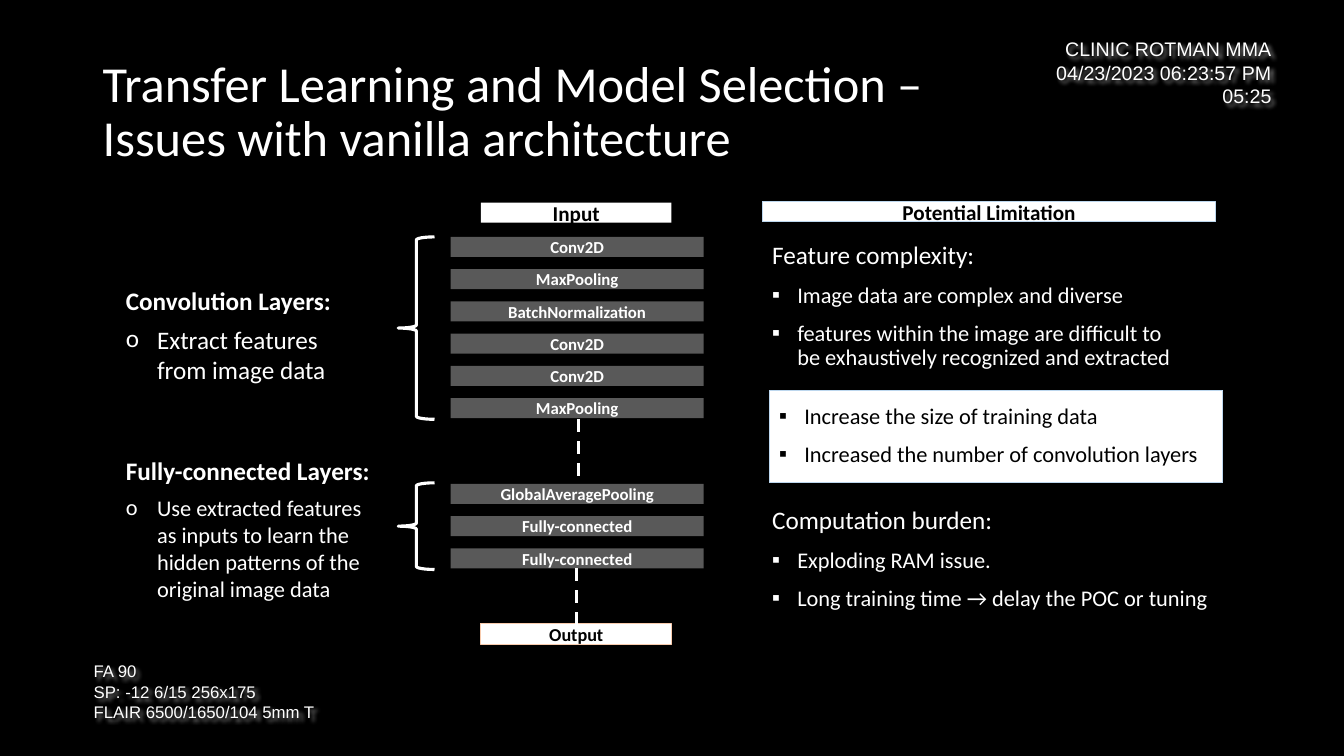
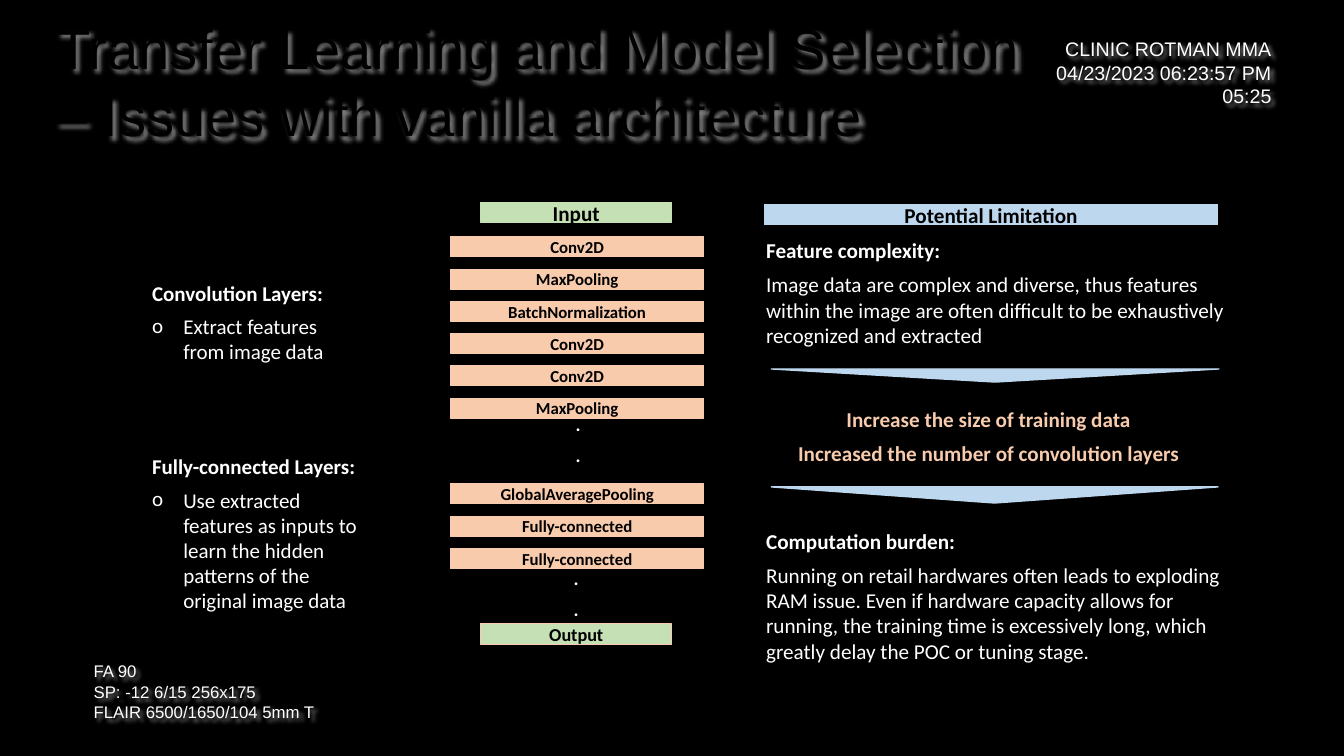
from lxml import etree
from pptx import Presentation
from pptx.dml.color import RGBColor
from pptx.enum.dml import MSO_LINE
from pptx.enum.shapes import MSO_CONNECTOR, MSO_SHAPE
from pptx.enum.text import MSO_ANCHOR, PP_ALIGN
from pptx.oxml.ns import qn
from pptx.util import Inches, Pt

LEFT, MID, RIGHT = PP_ALIGN.LEFT, PP_ALIGN.CENTER, PP_ALIGN.RIGHT
TOP, CENTRE = MSO_ANCHOR.TOP, MSO_ANCHOR.MIDDLE
RECT, BRACE = MSO_SHAPE.RECTANGLE, MSO_SHAPE.LEFT_BRACE
WEDGE = MSO_SHAPE.ISOSCELES_TRIANGLE
STRAIGHT, DASH = MSO_CONNECTOR.STRAIGHT, MSO_LINE.DASH

HUES = {
    "black": "000000",
    "white": "FFFFFF",
    "grey": "595959",
    "shade": "808080",
    "peach": "F8CBAD",
    "green": "C5E0B4",
    "blue": "BDD7EE",
    "sand": "F7CBAC",
}
HARD = chr(160)  # no-break space
TITLE = ("Transfer Learning and Model Selection – "
         f"Issues with vanilla{HARD}architecture")
CLINIC = ["CLINIC ROTMAN MMA", "04/23/2023 06:23:57 PM", "05:25"]
SCAN = ["FA 90", "SP: -12 6/15 256x175", "FLAIR 6500/1650/104 5mm T"]
CONV = ["Conv2D", "MaxPooling", "BatchNormalization",
        "Conv2D", "Conv2D", "MaxPooling"]
DENSE = ["GlobalAveragePooling", "Fully-connected", "Fully-connected"]
CONV_TOP, DENSE_TOP, STEP = 2.35, 4.8, 0.32
ROLES = [
    ("Convolution Layers:", "Extract features from image data"),
    ("Fully-connected Layers:",
     "Use extracted features as inputs to learn the hidden patterns "
     "of the original image data"),
]
FIXES = ["Increase the size of training data",
         "Increased the number of convolution layers"]


def hue(name):
    return RGBColor.from_string(HUES[name])


def place(box):
    return [Inches(n) for n in box]


def cast(shape):
    """Give the text of an unfilled box a soft shadow."""
    effects = etree.SubElement(shape._element.spPr, qn("a:effectLst"))
    drop = etree.SubElement(effects, qn("a:outerShdw"), blurRad="38100",
                            dist="38100", dir="2700000", algn="tl")
    etree.SubElement(drop, qn("a:srgbClr"), val=HUES["shade"])


def mark(para, sign, indent):
    """Set a bullet with a hanging indent."""
    props = para._p.get_or_add_pPr()
    props.set("marL", str(Inches(indent)))
    props.set("indent", str(-Inches(indent)))
    etree.SubElement(props, qn("a:buFont"), typeface="Calibri")
    etree.SubElement(props, qn("a:buChar"), char=sign)


def add_para(para, words, size=16, color="white", bold=False, font="Calibri",
             align=LEFT, after=0, before=0, line=None, sign=None, indent=0.25):
    if sign:
        mark(para, sign, indent)
    para.alignment = align
    para.space_after = Pt(after)
    para.space_before = Pt(before)
    if line:
        para.line_spacing = line
    run = para.add_run()
    run.text = words
    run.font.size = Pt(size)
    run.font.bold = bold
    run.font.color.rgb = hue(color)
    run.font.name = font


def fill_text(frame, items, anchor=TOP, **style):
    """Write items, each a string or a (string, own style) pair."""
    frame.word_wrap = True
    frame.vertical_anchor = anchor
    for i, item in enumerate(items):
        words, own = (item, {}) if isinstance(item, str) else item
        look = {**style, **own}
        if i == 0:
            look["before"] = 0
        para = frame.add_paragraph() if i else frame.paragraphs[0]
        add_para(para, words, **look)


def add_text(slide, box, items, glow=False, **style):
    label = slide.shapes.add_textbox(*place(box))
    if glow:
        cast(label)
    fill_text(label.text_frame, items, **style)


def add_form(slide, kind, box, fill=None, edge=None, width=0.75):
    form = slide.shapes.add_shape(kind, *place(box))
    form.shadow.inherit = False
    if fill:
        form.fill.solid()
        form.fill.fore_color.rgb = hue(fill)
    else:
        form.fill.background()
    if edge:
        form.line.color.rgb = hue(edge)
        form.line.width = Pt(width)
    else:
        form.line.fill.background()
    return form


def add_bar(slide, box, words, size, fill, edge=None, color="black"):
    bar = add_form(slide, RECT, box, fill, edge)
    fill_text(bar.text_frame, [words], CENTRE, size=size, color=color,
              bold=True, align=MID, after=6)


def add_dash(slide, x, top, end):
    line = slide.shapes.add_connector(STRAIGHT, *place((x, top, x, end)))
    line.line.color.rgb = hue("white")
    line.line.width = Pt(2.25)
    line.line.dash_style = DASH
    etree.SubElement(line._element.spPr, qn("a:effectLst"))


def add_wedge(slide, box):
    wedge = add_form(slide, WEDGE, box, "blue", "blue", 1)
    wedge.rotation = 180


def add_stack(slide, fill, edge, color, end, rim):
    """Draw the network from input to output."""
    for names, top in ((CONV, CONV_TOP), (DENSE, DENSE_TOP)):
        for i, name in enumerate(names):
            add_bar(slide, (4.47, top + i * STEP, 2.51, 0.2), name, 12,
                    fill, edge, color)
    add_bar(slide, (4.77, 2.01, 1.89, 0.2), "Input", 15.1, end, rim)
    add_bar(slide, (4.77, 6.19, 1.89, 0.2), "Output", 13, end, "peach")


def add_roles(slide, boxes, head, sizes):
    """Explain the two groups of layers."""
    for box, (name, use), size in zip(boxes, ROLES, sizes):
        add_text(slide, box, [
            (name, {"bold": True, "size": head}),
            (use, {"sign": "o", "indent": 0.31, "size": size}),
        ], after=6)


def start(deck):
    """Add a slide with the scan marks in its corners."""
    slide = deck.slides.add_slide(deck.slide_layouts[6])
    add_text(slide, (9.6, 0.32, 3.11, 0.81), CLINIC, size=14, font="Arial",
             align=RIGHT, glow=True)
    add_text(slide, (0.83, 6.51, 4.21, 0.71), SCAN, size=12, font="Arial",
             glow=True)
    return slide


def add_issues(deck):
    slide = start(deck)
    add_text(slide, (0.92, 0.4, 9.33, 1.45), [TITLE], anchor=CENTRE,
             size=36, line=0.9)
    add_stack(slide, "grey", None, "white", "white", None)
    add_dash(slide, 5.74, 4.16, 4.79)
    add_dash(slide, 5.72, 5.64, 6.19)
    for top, tall in ((2.35, 1.81), (4.79, 0.86)):
        add_form(slide, BRACE, (3.95, top, 0.36, tall), edge="white",
                 width=2.25)
    add_roles(slide, [(1.15, 2.78, 2.33, 1.09), (1.15, 4.47, 2.69, 1.57)],
              18, (18, 16))

    add_bar(slide, (7.56, 2, 4.5, 0.2), "Potential Limitation", 15.1,
            "white", "blue")
    points = {"before": 10, "line": 0.9, "sign": "▪"}
    head = {"size": 18, "sign": None}
    add_text(slide, (7.56, 2.36, 4.5, 1.49), [
        ("Feature complexity:", head),
        "Image data are complex and diverse",
        "features within the image are difficult to "
        f"be{HARD}exhaustively recognized and extracted",
    ], **points)
    add_text(slide, (7.56, 4.99, 4.94, 1.49), [
        ("Computation burden:", head),
        "Exploding RAM issue.",
        "Long training time → delay the POC or tuning",
    ], **points)
    panel = add_form(slide, RECT, (7.63, 3.87, 4.5, 0.92), "white", "blue")
    fill_text(panel.text_frame, FIXES, CENTRE, color="black", **points)


def add_detail(deck):
    slide = start(deck)
    add_text(slide, (0.46, 0.1, 9.98, 1.4), [TITLE], anchor=CENTRE,
             size=40, color="black", font="Arial", glow=True)
    add_stack(slide, "peach", "peach", "black", "green", "green")
    for x, top in ((5.09, 4.05), (5.07, 5.57)):
        add_text(slide, (x, top, 1.29, 0.64), [".", "."], size=13.4,
                 bold=True, align=MID, after=6)
    add_roles(slide, [(1.41, 2.73, 2.26, 0.94), (1.41, 4.45, 2.26, 1.7)],
              15, (15, 15))

    add_bar(slide, (7.58, 2.03, 4.5, 0.2), "Potential Limitation", 15.1,
            "blue", "blue")
    prose = {"size": 15.1, "after": 6}
    head = {"bold": True}
    add_text(slide, (7.5, 2.31, 4.79, 1.2), [
        ("Feature complexity:", head),
        "Image data are complex and diverse, thus features within the image "
        f"are often difficult to be{HARD}exhaustively recognized and "
        "extracted",
    ], **prose)
    add_wedge(slide, (7.65, 3.66, 4.44, 0.13))
    add_text(slide, (7.41, 3.98, 4.79, 0.69), FIXES, color="sand", bold=True,
             align=MID, **prose)
    add_wedge(slide, (7.65, 4.83, 4.43, 0.16))
    add_text(slide, (7.5, 5.19, 4.79, 1.46), [
        ("Computation burden:", head),
        f"Running on retail hardwares{HARD}often leads to exploding RAM "
        "issue. Even if hardware capacity allows for running, the training "
        "time is excessively long, which greatly delay the POC or tuning "
        "stage.",
    ], **prose)


def main():
    deck = Presentation()
    deck.slide_width, deck.slide_height = Inches(13.33), Inches(7.5)
    ground = deck.slide_master.background.fill
    ground.solid()
    ground.fore_color.rgb = hue("black")
    add_issues(deck)
    add_detail(deck)
    deck.save("out.pptx")


if __name__ == "__main__":
    main()
